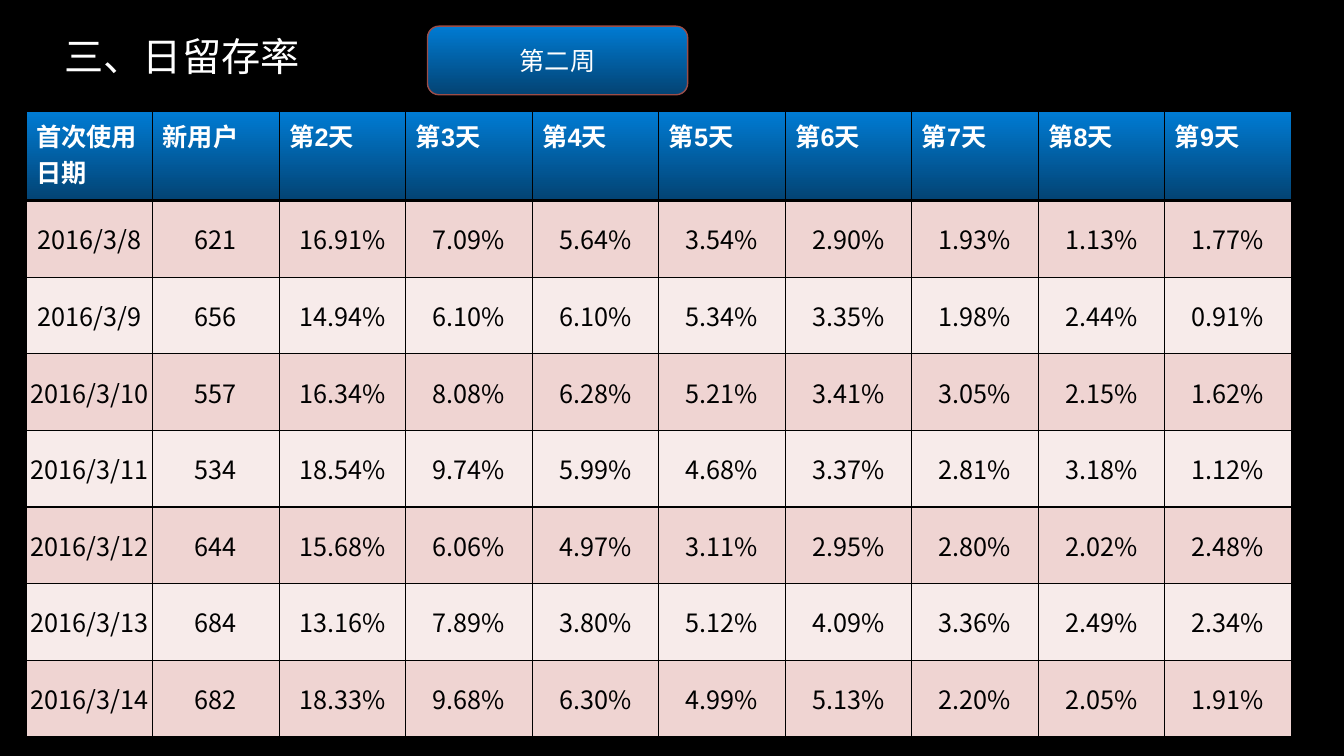
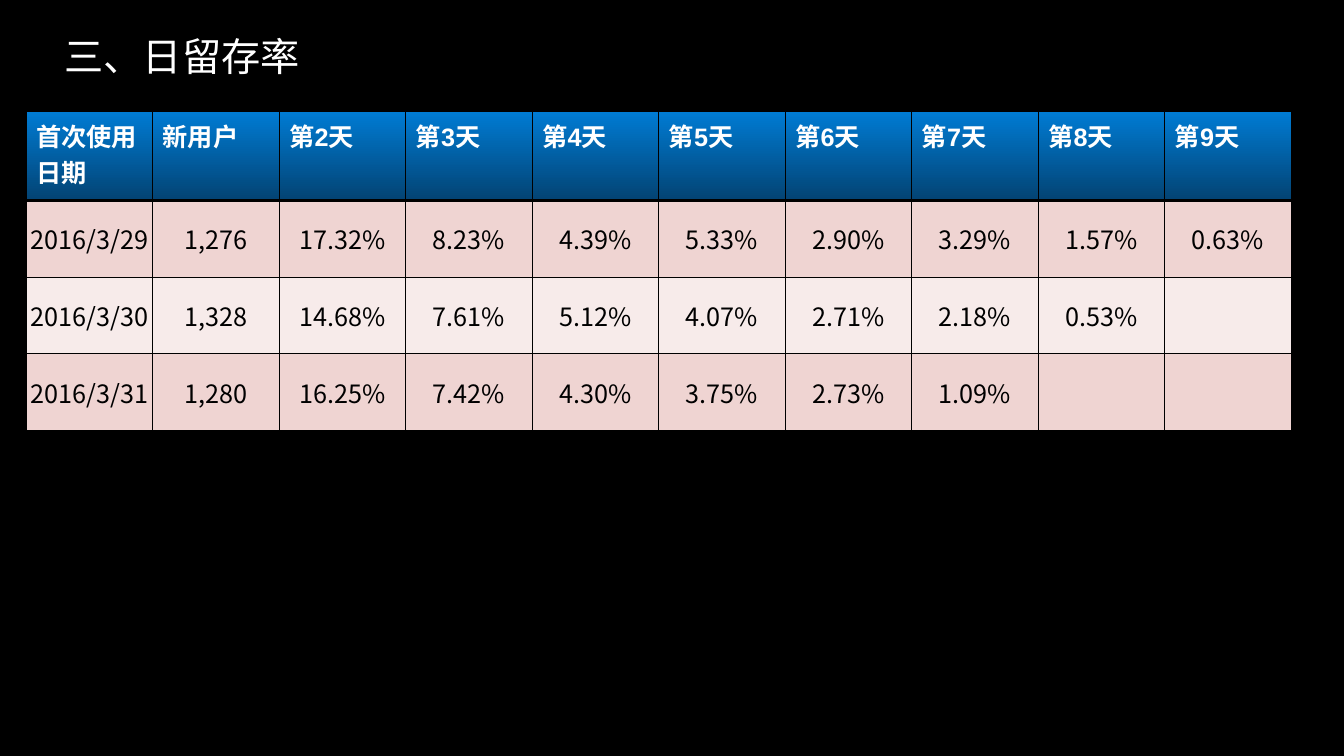
from dataclasses import dataclass

from lxml import etree
from pptx import Presentation
from pptx.dml.color import RGBColor
from pptx.enum.shapes import MSO_SHAPE
from pptx.enum.text import MSO_ANCHOR, MSO_AUTO_SIZE, PP_ALIGN
from pptx.oxml.ns import qn
from pptx.util import Inches, Pt

ROUNDED = MSO_SHAPE.ROUNDED_RECTANGLE
MIDDLE = MSO_ANCHOR.MIDDLE
LEFT, CENTER = PP_ALIGN.LEFT, PP_ALIGN.CENTER
NO_AUTOFIT = MSO_AUTO_SIZE.NONE
TITLE_ONLY = 5


@dataclass(frozen=True)
class Theme:
    black: RGBColor = RGBColor(0x00, 0x00, 0x00)
    white: RGBColor = RGBColor(0xFF, 0xFF, 0xFF)
    blue_top: RGBColor = RGBColor(0x00, 0x7B, 0xD3)
    blue_bottom: RGBColor = RGBColor(0x03, 0x43, 0x73)
    badge_line: RGBColor = RGBColor(0x9C, 0x4D, 0x48)
    bands: tuple = (RGBColor(0xEF, 0xD4, 0xD2), RGBColor(0xF7, 0xEB, 0xEA))
    heading_font: str = "Arial"
    data_font: str = "Noto Sans CJK SC"
    title_size: Pt = Pt(28)
    text_size: Pt = Pt(18)
    thin: Pt = Pt(1)
    thick: Pt = Pt(3)


TITLE = "三、日留存率"
HEADERS = ["首次使用日期", "新用户"] + [f"第{day}天" for day in range(2, 10)]

WEEK_TWO = [
    ["2016/3/8", "621", "16.91%", "7.09%", "5.64%", "3.54%", "2.90%", "1.93%", "1.13%", "1.77%"],
    ["2016/3/9", "656", "14.94%", "6.10%", "6.10%", "5.34%", "3.35%", "1.98%", "2.44%", "0.91%"],
    ["2016/3/10", "557", "16.34%", "8.08%", "6.28%", "5.21%", "3.41%", "3.05%", "2.15%", "1.62%"],
    ["2016/3/11", "534", "18.54%", "9.74%", "5.99%", "4.68%", "3.37%", "2.81%", "3.18%", "1.12%"],
    ["2016/3/12", "644", "15.68%", "6.06%", "4.97%", "3.11%", "2.95%", "2.80%", "2.02%", "2.48%"],
    ["2016/3/13", "684", "13.16%", "7.89%", "3.80%", "5.12%", "4.09%", "3.36%", "2.49%", "2.34%"],
    ["2016/3/14", "682", "18.33%", "9.68%", "6.30%", "4.99%", "5.13%", "2.20%", "2.05%", "1.91%"],
]

MONTH_END = [
    ["2016/3/29", "1,276", "17.32%", "8.23%", "4.39%", "5.33%", "2.90%", "3.29%", "1.57%", "0.63%"],
    ["2016/3/30", "1,328", "14.68%", "7.61%", "5.12%", "4.07%", "2.71%", "2.18%", "0.53%", ""],
    ["2016/3/31", "1,280", "16.25%", "7.42%", "4.30%", "3.75%", "2.73%", "1.09%", "", ""],
]


class Deck:
    def __init__(self, theme):
        self.theme = theme
        self.prs = Presentation()
        self.prs.slide_width, self.prs.slide_height = Inches(13.33), Inches(7.5)
        fill = self.prs.slide_master.background.fill
        fill.solid()
        fill.fore_color.rgb = theme.black
        self.slide = None

    def add_slide(self, title):
        self.slide = self.prs.slides.add_slide(self.prs.slide_layouts[TITLE_ONLY])
        sp = self.slide.shapes.title
        sp.left, sp.top, sp.width, sp.height = Inches(0.54), 0, Inches(3.58), Inches(1.17)
        tf = sp.text_frame
        tf.auto_size, tf.word_wrap, tf.vertical_anchor = NO_AUTOFIT, False, MIDDLE
        self.set_text(tf, title, self.theme.heading_font, self.theme.title_size, self.theme.white)
        tf.paragraphs[0].line_spacing = 0.9

    def set_text(self, tf, text, font, size, color, align=LEFT, bold=False):
        tf.text = text
        p = tf.paragraphs[0]
        p.alignment = align
        p.font.name, p.font.size, p.font.bold = font, size, bold
        p.font.color.rgb = color

    def fill_blue(self, fill):
        fill.gradient()
        fill.gradient_angle = 270  # counter-clockwise, so top to bottom
        for stop, color in zip(fill.gradient_stops, (self.theme.blue_top, self.theme.blue_bottom)):
            stop.color.rgb = color

    def badge(self, text):
        sp = self.slide.shapes.add_shape(ROUNDED, Inches(4.24), Inches(0.26), Inches(2.58), Inches(0.68))
        sp.shadow.inherit = False
        self.fill_blue(sp.fill)
        sp.line.color.rgb, sp.line.width = self.theme.badge_line, self.theme.thin
        sp.text_frame.vertical_anchor = MIDDLE
        self.set_text(sp.text_frame, text, self.theme.heading_font, self.theme.text_size,
                      self.theme.white, CENTER)

    def borders(self, cell, top, bottom):
        """Draw the four cell edges; call before filling, as the XML order requires."""
        tc_pr = cell._tc.get_or_add_tcPr()
        thin = self.theme.thin
        for edge, width in (("L", thin), ("R", thin), ("T", top), ("B", bottom)):
            ln = etree.SubElement(tc_pr, qn(f"a:ln{edge}"), w=str(int(width)))
            solid = etree.SubElement(ln, qn("a:solidFill"))
            etree.SubElement(solid, qn("a:srgbClr"), val=str(self.theme.black))

    def header_cell(self, cell, text):
        self.borders(cell, self.theme.thin, self.theme.thick)
        self.fill_blue(cell.fill)
        self.set_text(cell.text_frame, text, self.theme.heading_font, self.theme.text_size,
                      self.theme.white, bold=True)

    def data_cell(self, cell, text, row):
        self.borders(cell, self.theme.thick if row == 0 else self.theme.thin, self.theme.thin)
        cell.fill.solid()
        cell.fill.fore_color.rgb = self.theme.bands[row % 2]
        cell.margin_left = cell.margin_right = cell.margin_top = cell.margin_bottom = 0
        cell.vertical_anchor = MIDDLE
        self.set_text(cell.text_frame, text, self.theme.data_font, self.theme.text_size,
                      self.theme.black, CENTER)

    def retention_table(self, rows):
        header_height, row_height, width = Inches(0.88), Inches(0.76), Inches(12.55)
        frame = self.slide.shapes.add_table(
            len(rows) + 1, len(HEADERS), Inches(0.26), Inches(1.11),
            width, header_height + row_height * len(rows))
        table = frame.table
        table.horz_banding = False
        for column in table.columns:
            column.width = width // len(HEADERS)
        table.rows[0].height = header_height
        for c, text in enumerate(HEADERS):
            self.header_cell(table.cell(0, c), text)
        for r, values in enumerate(rows):
            table.rows[r + 1].height = row_height
            for c, text in enumerate(values):
                self.data_cell(table.cell(r + 1, c), text, r)


def main():
    deck = Deck(Theme())
    deck.add_slide(TITLE)
    deck.badge("第二周")
    deck.retention_table(WEEK_TWO)

    deck.add_slide(TITLE)
    deck.retention_table(MONTH_END)
    deck.prs.save("out.pptx")


if __name__ == "__main__":
    main()
